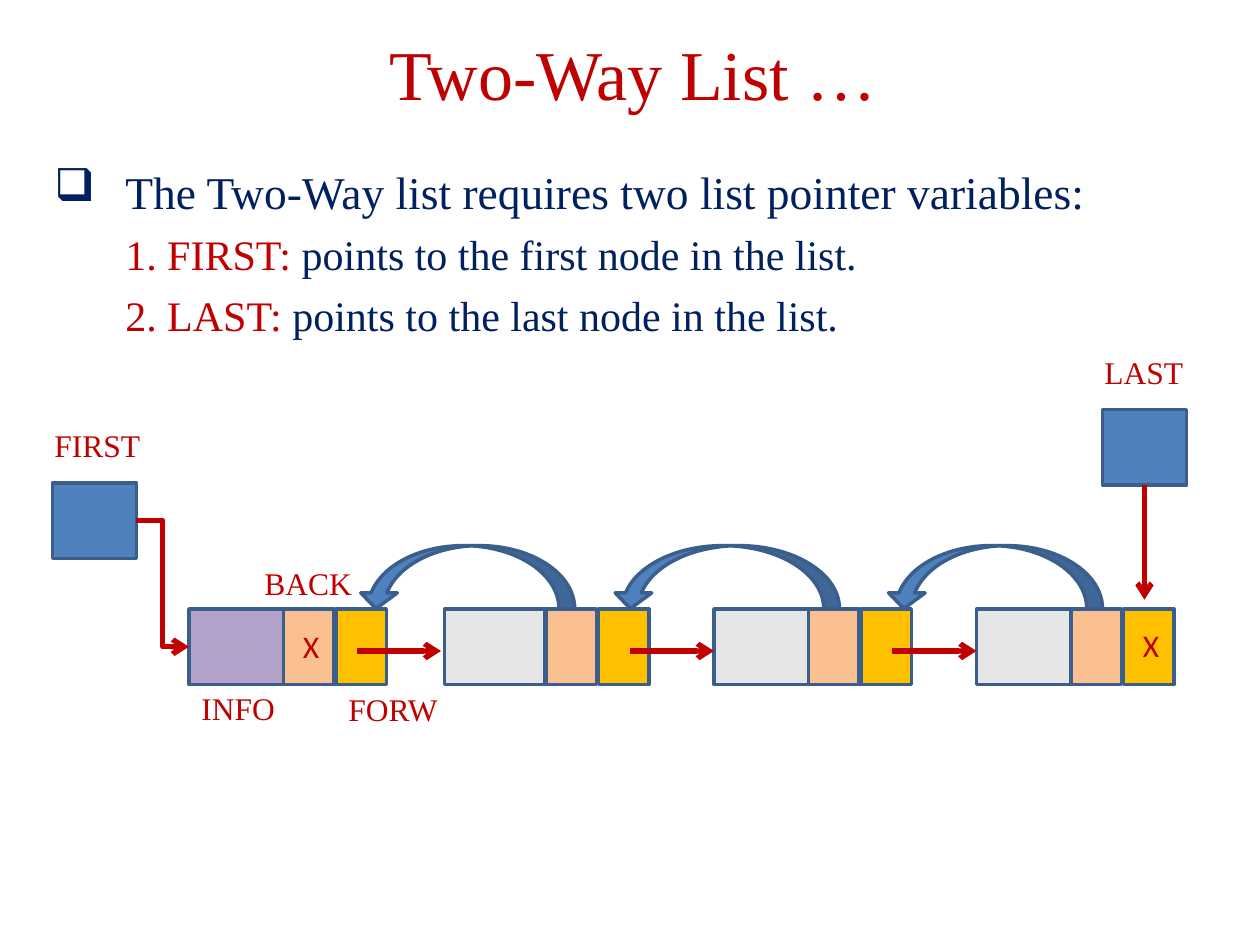
"""Build a slide that shows a two-way linked list with its FIRST and LAST pointers."""
from lxml.etree import SubElement
from pptx import Presentation
from pptx.dml.color import RGBColor
from pptx.enum.shapes import MSO_CONNECTOR, MSO_SHAPE
from pptx.enum.text import MSO_ANCHOR, PP_ALIGN
from pptx.oxml.ns import qn
from pptx.util import Pt

RED, NAVY, BLUE, OUTLINE = "C00000", "002060", "4F81BD", "3A5F8C"
PURPLE, GREY, ORANGE, YELLOW = "B3A2C7", "E6E6E6", "FAC090", "FFC000"
SERIF = "Times New Roman"

TITLE = "Two-Way List …"
BODY = [
    ("❑", 26, [("The Two-Way list requires two list pointer variables:", NAVY)]),
    (None, 24, [("1. FIRST: ", RED), ("points to the first node in the list.", NAVY)]),
    (None, 24, [("2. LAST: ", RED), ("points to the last node in the list.", NAVY)]),
]
LABELS = [
    ("INFO", 108, 390, 60, SERIF),
    ("BACK", 144, 319, 96, SERIF),
    ("FORW", 192, 391, 66, SERIF),
    ("FIRST", 24, 240, 96, SERIF),
    ("LAST", 624, 198, 96, SERIF),
    ("X", 166, 355, 28, "Calibri"),
    ("X", 646, 354, 28, "Calibri"),
]
INFO_FIELDS = [(108, PURPLE), (254, GREY), (408, GREY), (558, GREY)]
FIRST_BACK, NODE_PITCH, FORW_OFFSET = 162, 150, 30
NODE_TOP, FIELD_HEIGHT, INFO_WIDTH, LINK_WIDTH = 348, 43.2, 57.6, 28.8
POINTER_WIDTH = 48
FORW_ARROWS, FORW_LENGTH, FORW_Y = [204, 360, 510], 48, 372
BACK_ARROWS = [(266.4, 124), (414.7, 130), (568, 124)]
BACK_CENTER_Y, BACK_HEIGHT = 329.8, 36


def color(value):
    return RGBColor.from_string(value)


def add_text(paragraph, text, size, text_color, name=SERIF):
    run = paragraph.add_run()
    run.text = text
    for attribute, value in {"size": Pt(size), "name": name}.items():
        setattr(run.font, attribute, value)
    run.font.color.rgb = color(text_color)


def add_box(slide, left, top, width, height, anchor=MSO_ANCHOR.TOP):
    frame = slide.shapes.add_textbox(Pt(left), Pt(top), Pt(width), Pt(height)).text_frame
    for attribute, value in {"word_wrap": True, "vertical_anchor": anchor}.items():
        setattr(frame, attribute, value)
    return frame


def add_filled(slide, kind, left, top, width, height, fill):
    shape = slide.shapes.add_shape(kind, Pt(left), Pt(top), Pt(width), Pt(height))
    shape.shadow.inherit = False
    shape.fill.solid()
    shape.fill.fore_color.rgb = color(fill)
    shape.line.color.rgb = color(OUTLINE)
    shape.line.width = Pt(2)
    return shape


def add_field(slide, left, top, width, fill):
    return add_filled(slide, MSO_SHAPE.RECTANGLE, left, top, width, FIELD_HEIGHT, fill)


def add_arrow(slide, start, end, kind=MSO_CONNECTOR.STRAIGHT):
    connector = slide.shapes.add_connector(kind, *map(Pt, start + end))
    connector.line.color.rgb = color(RED)
    connector.line.width = Pt(3)
    SubElement(connector.line._get_or_add_ln(), qn("a:tailEnd"), type="arrow")
    SubElement(connector._element.spPr, qn("a:effectLst"))
    return connector


def add_body(slide):
    frame = add_box(slide, 24, 90, 678, 414)
    for index, (bullet, size, runs) in enumerate(BODY):
        paragraph = frame.add_paragraph() if index else frame.paragraphs[0]
        properties = paragraph._p.get_or_add_pPr()
        properties.set("marL", str(Pt(40.5)))
        properties.set("indent", str(Pt(-40.5 if bullet else 0)))
        if bullet:
            SubElement(properties, qn("a:buChar"), char=bullet)
        else:
            SubElement(properties, qn("a:buNone"))
        paragraph.space_before = Pt(6 if index else 0)
        for text, text_color in runs:
            add_text(paragraph, text, size, text_color)


def add_list(slide):
    info_fields = []
    for index, (info_left, fill) in enumerate(INFO_FIELDS):
        back_left = FIRST_BACK + index * NODE_PITCH
        info_fields.append(add_field(slide, info_left, NODE_TOP, INFO_WIDTH, fill))
        add_field(slide, back_left, NODE_TOP, LINK_WIDTH, ORANGE)
        add_field(slide, back_left + FORW_OFFSET, NODE_TOP, LINK_WIDTH, YELLOW)
    for left in FORW_ARROWS:
        add_arrow(slide, (left, FORW_Y), (left + FORW_LENGTH, FORW_Y))
    for center, span in BACK_ARROWS:
        arrow = add_filled(slide, MSO_SHAPE.CURVED_RIGHT_ARROW, center - BACK_HEIGHT / 2,
                           BACK_CENTER_Y - span / 2, BACK_HEIGHT, span, BLUE)
        arrow.rotation = 90
        for index, value in enumerate((0.25, 0.58, 0.25)):
            arrow.adjustments[index] = value
    return info_fields[0]


def add_pointers(slide, first_info):
    first = add_field(slide, 30, 276, POINTER_WIDTH, BLUE)
    last = add_field(slide, 630, 234, POINTER_WIDTH, BLUE)
    elbow = add_arrow(slide, (78, 297.6), (108, 369.6), MSO_CONNECTOR.ELBOW)
    elbow.begin_connect(first, 3)
    elbow.end_connect(first_info, 1)
    add_arrow(slide, (654, 277.2), (654, 342.7)).begin_connect(last, 2)


def main():
    presentation = Presentation()
    presentation.slide_width, presentation.slide_height = Pt(720), Pt(540)
    slide = presentation.slides.add_slide(presentation.slide_layouts[6])
    title = add_box(slide, 39.6, 0, 644.4, 82.8, MSO_ANCHOR.MIDDLE).paragraphs[0]
    title.alignment = PP_ALIGN.CENTER
    add_text(title, TITLE, 40, RED)
    add_body(slide)
    add_pointers(slide, add_list(slide))
    for text, left, top, width, name in LABELS:
        add_text(add_box(slide, left, top, width, 29).paragraphs[0], text, 18, RED, name)
    presentation.save("out.pptx")


if __name__ == "__main__":
    main()
